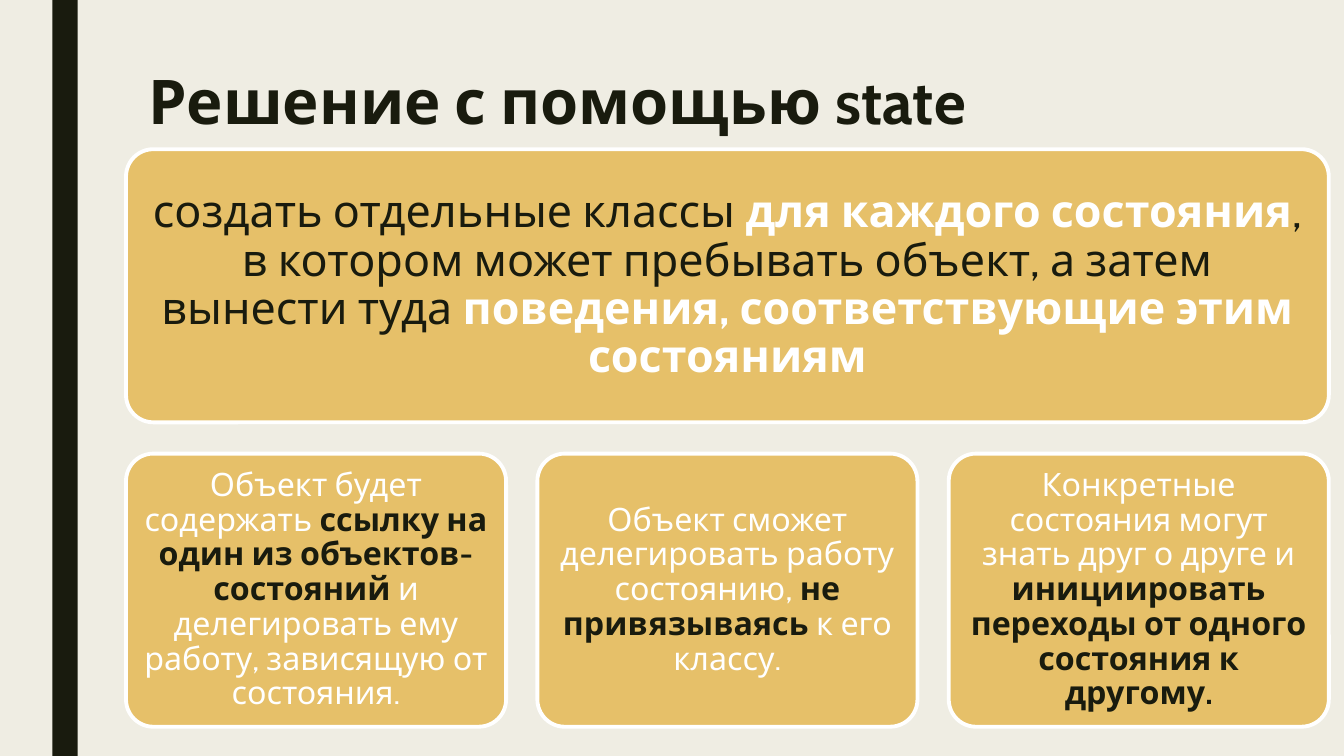
from pptx import Presentation
from pptx import util as u
from pptx.dml.color import RGBColor
from pptx.enum import shapes, text

COLORS = {"paper": "EFEDE3", "ink": "191B0E", "gold": "E6C069", "white": "FFFFFF"}
FONT = "Cabin"
TITLE = [("Решение с помощью state", True)]
IDEA = [
    ("создать отдельные классы ", False),
    ("для каждого состояния", True),
    (", в котором может пребывать объект, а затем вынести туда ", False),
    ("поведения, соответствующие этим состояниям", True),
]
EFFECTS = [
    [
        ("Объект будет содержать ", False),
        ("ссылку на один из объектов-состояний ", True),
        ("и делегировать ему работу, зависящую от состояния.", False),
    ],
    [
        ("Объект сможет делегировать работу состоянию, ", False),
        ("не привязываясь", True),
        (" к его классу.", False),
    ],
    [
        ("Конкретные состояния могут знать друг о друге и ", False),
        ("инициировать переходы от одного состояния к другому.", True),
    ],
]
LEFT, WIDTH, HEIGHT = 1.25, 11.93, 2.71
IDEA_TOP, EFFECT_TOP, EFFECT_WIDTH = 1.48, 4.5, 3.77


def color(name):
    return RGBColor.from_string(COLORS[name])


def write(frame, runs, size, plain, strong, spacing, align):
    frame.word_wrap = True
    paragraph = frame.paragraphs[0]
    paragraph.alignment = align
    paragraph.line_spacing = spacing
    for words, bold in runs:
        run = paragraph.add_run()
        run.text = words
        run.font.name = FONT
        run.font.size = u.Pt(size)
        run.font.bold = bold
        run.font.color.rgb = color(strong if bold else plain)


def add_block(slide, kind, left, top, width, height, fill):
    block = slide.shapes.add_shape(
        kind, u.Inches(left), u.Inches(top), u.Inches(width), u.Inches(height))
    block.shadow.inherit = False
    block.fill.solid()
    block.fill.fore_color.rgb = color(fill)
    block.line.fill.background()
    return block


def add_card(slide, left, top, width, runs, size, plain, strong, inset):
    card = add_block(slide, shapes.MSO_SHAPE.ROUNDED_RECTANGLE,
                     left, top, width, HEIGHT, "gold")
    card.adjustments[0] = 0.1
    card.line.color.rgb = color("white")
    card.line.width = u.Pt(2.75)
    frame = card.text_frame
    frame.margin_left = frame.margin_right = u.Inches(inset)
    frame.margin_top = frame.margin_bottom = u.Inches(inset)
    frame.vertical_anchor = text.MSO_ANCHOR.MIDDLE
    write(frame, runs, size, plain, strong, 0.9, text.PP_ALIGN.CENTER)


def main():
    """Build the slide about solving the task with the State pattern."""
    deck = Presentation()
    deck.slide_width, deck.slide_height = u.Inches(13.33), u.Inches(7.5)
    slide = deck.slides.add_slide(deck.slide_layouts[6])
    slide.background.fill.solid()
    slide.background.fill.fore_color.rgb = color("paper")
    add_block(slide, shapes.MSO_SHAPE.RECTANGLE, 0.52, 0, 0.25, 7.5, "ink")

    title = slide.shapes.add_textbox(
        u.Inches(1.37), u.Inches(0.66), u.Inches(10.5), u.Inches(1.62))
    write(title.text_frame, TITLE, 44, "ink", "ink", 0.89, text.PP_ALIGN.LEFT)

    add_card(slide, LEFT, IDEA_TOP, WIDTH, IDEA, 32, "ink", "white", 0.13)
    pitch = (WIDTH - EFFECT_WIDTH) / (len(EFFECTS) - 1)
    for index, effect in enumerate(EFFECTS):
        add_card(slide, LEFT + index * pitch, EFFECT_TOP, EFFECT_WIDTH,
                 effect, 23, "white", "ink", 0.1)
    deck.save("out.pptx")


if __name__ == "__main__":
    main()
